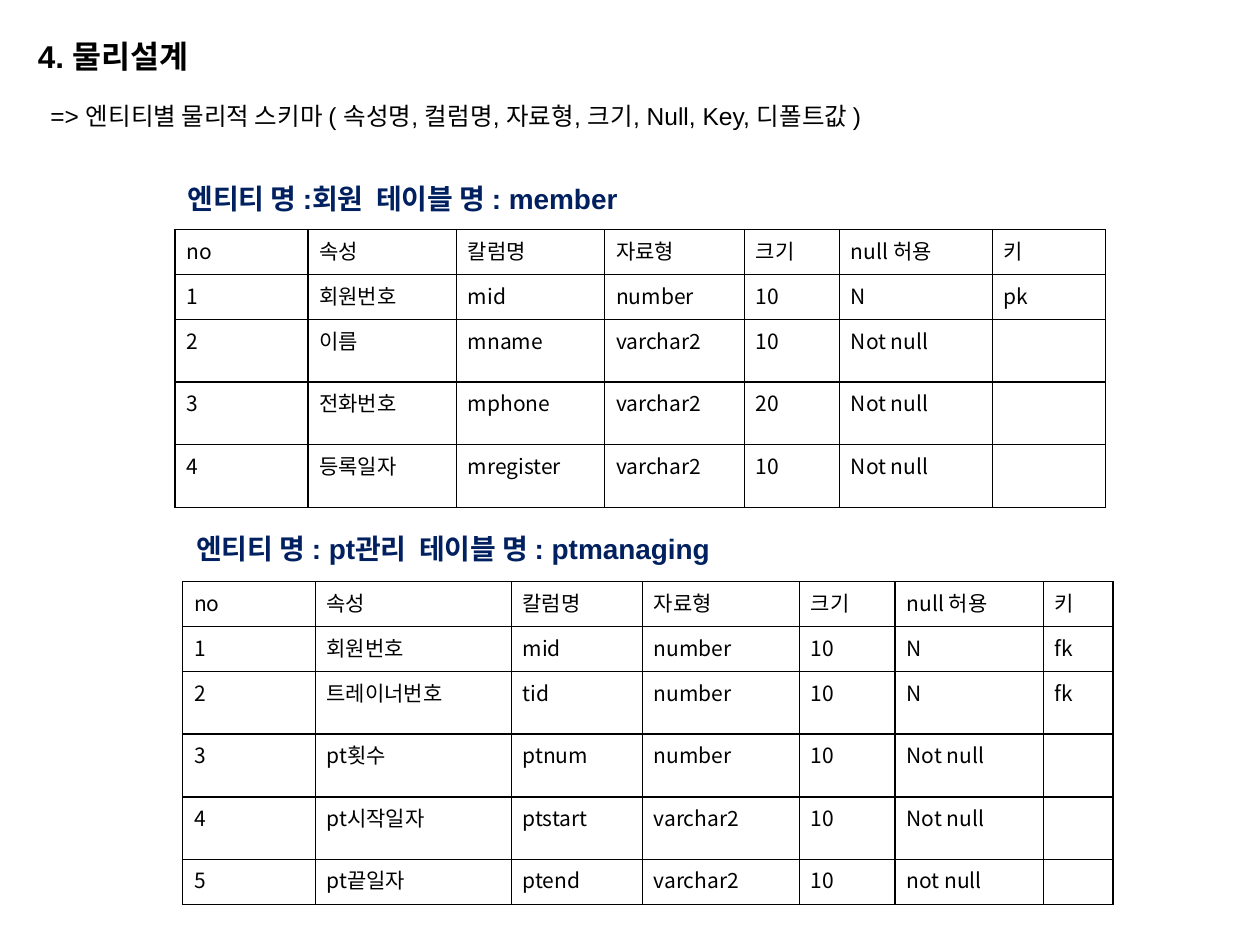
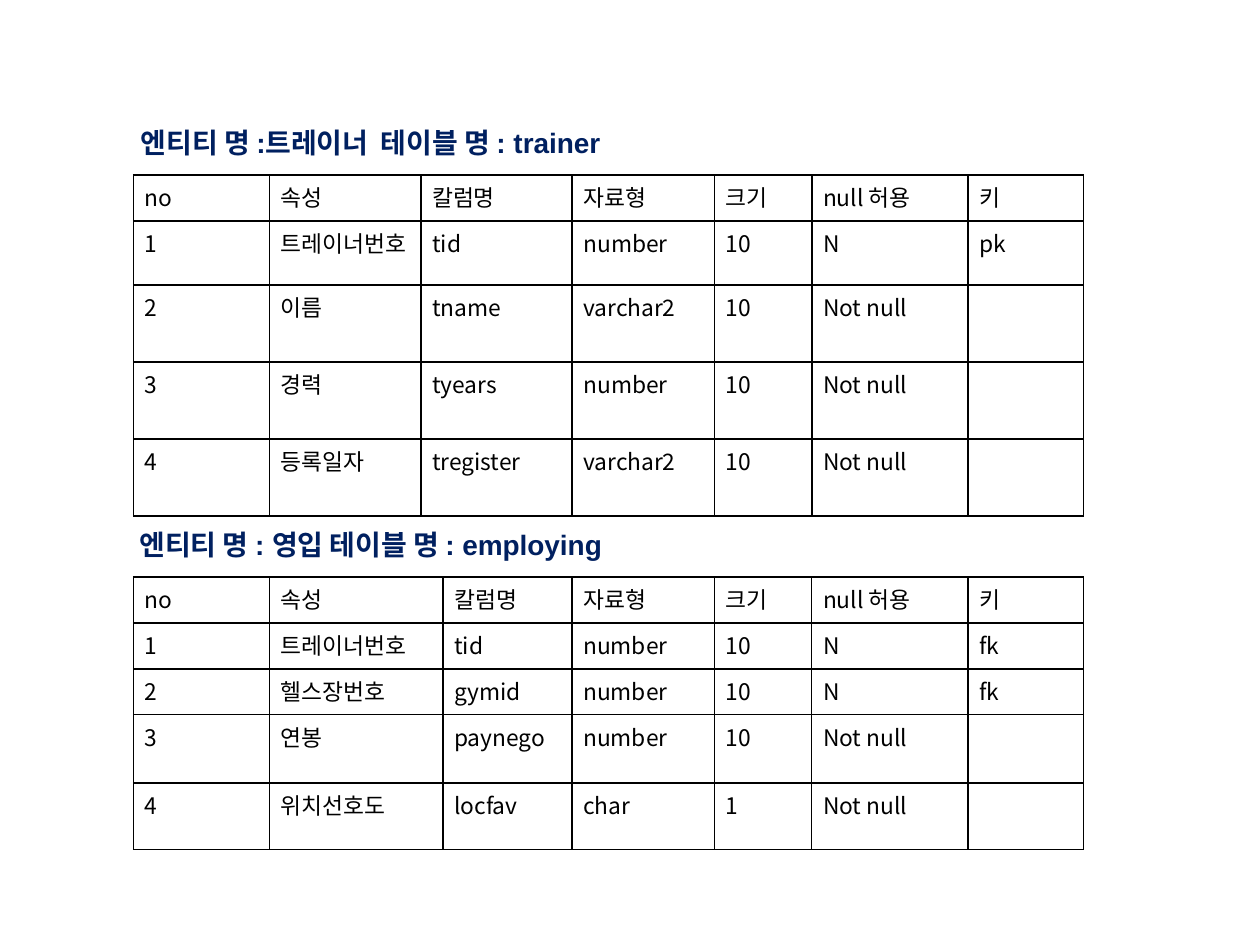
from dataclasses import dataclass

from lxml import etree
from pptx import Presentation
from pptx.dml.color import RGBColor
from pptx.enum.text import MSO_ANCHOR, MSO_AUTO_SIZE, PP_ALIGN
from pptx.oxml.ns import qn
from pptx.slide import Slide
from pptx.table import _Cell
from pptx.text.text import TextFrame, _Paragraph
from pptx.util import Pt

BLACK = RGBColor(0x00, 0x00, 0x00)
WHITE = RGBColor(0xFF, 0xFF, 0xFF)
NAVY = RGBColor(0x00, 0x20, 0x60)

HEADING_FONT = "Arial"
CELL_FONT = "Noto Sans CJK KR"
LEFT = PP_ALIGN.LEFT
TOP = MSO_ANCHOR.TOP
NO_AUTO_SIZE = MSO_AUTO_SIZE.NONE

TITLE_AND_CONTENT = 1
BLANK = 6
HEADING_HEIGHT = 26.6
HEADING_SIZE = 16
BORDER_WIDTH = 1

HEADER = ("no", "속성", "칼럼명", "자료형", "크기", "null 허용", "키")


@dataclass(frozen=True)
class Box:
    left: float
    top: float
    width: float
    height: float


@dataclass(frozen=True)
class Entity:
    """A heading and the table of the entity's columns; rows omit the number."""

    heading: str
    heading_left: float
    heading_top: float
    table_left: float
    table_top: float
    font_size: float
    column_widths: tuple[float, ...]
    row_heights: tuple[float, ...]
    rows: tuple[tuple[str, ...], ...]


TITLE_BOX = Box(7.2, 17.3, 705.6, 34)
SUMMARY_BOX = Box(7.2, 54, 705.6, 32)

MEMBER = Entity(
    "엔티티 명 :회원  테이블 명 : member", 100.1, 100.1, 100.1, 131.2, 12,
    (75.8, 85, 84.7, 79.8, 54.4, 87.4, 64.5),
    (25.7, 25.7, 35.8, 35.8, 35.8),
    (
        ("회원번호", "mid", "number", "10", "N", "pk"),
        ("이름", "mname", "varchar2", "10", "Not null", ""),
        ("전화번호", "mphone", "varchar2", "20", "Not null", ""),
        ("등록일자", "mregister", "varchar2", "10", "Not null", ""),
    ),
)
PT_MANAGING = Entity(
    "엔티티 명 : pt관리  테이블 명 : ptmanaging", 105.1, 300.2, 104.4, 332.4, 12,
    (75.8, 112, 74.9, 89.8, 54.7, 84.8, 39.6),
    (25.7, 25.7, 35.8, 35.8, 35.8, 25.7),
    (
        ("회원번호", "mid", "number", "10", "N", "fk"),
        ("트레이너번호", "tid", "number", "10", "N", "fk"),
        ("pt횟수", "ptnum", "number", "10", "Not null", ""),
        ("pt시작일자", "ptstart", "varchar2", "10", "Not null", ""),
        ("pt끝일자", "ptend", "varchar2", "10", "not null", ""),
    ),
)
TRAINER = Entity(
    "엔티티 명 :트레이너  테이블 명 : trainer", 73.4, 68.4, 76.3, 100.1, 13,
    (77.6, 86.6, 86.4, 81.4, 55.6, 89.3, 66),
    (26.2, 36.6, 44, 44, 44),
    (
        ("트레이너번호", "tid", "number", "10", "N", "pk"),
        ("이름", "tname", "varchar2", "10", "Not null", ""),
        ("경력", "tyears", "number", "10", "Not null", ""),
        ("등록일자", "tregister", "varchar2", "10", "Not null", ""),
    ),
)
EMPLOYING = Entity(
    "엔티티 명 : 영입 테이블 명 : employing", 72.7, 298.1, 76.3, 329.8, 13,
    (77.6, 99.2, 73.8, 81.4, 55.6, 89.3, 66),
    (26.2, 26.2, 26.2, 39, 38),
    (
        ("트레이너번호", "tid", "number", "10", "N", "fk"),
        ("헬스장번호", "gymid", "number", "10", "N", "fk"),
        ("연봉", "paynego", "number", "10", "Not null", ""),
        ("위치선호도", "locfav", "char", "1", "Not null", ""),
    ),
)


def format_runs(paragraph: _Paragraph, font_name: str, size: float,
                color: RGBColor, bold: bool = False) -> None:
    for run in paragraph.runs:
        run.font.name = font_name
        run.font.size = Pt(size)
        run.font.bold = bold
        run.font.color.rgb = color
        east_asian = etree.SubElement(run.font._element, qn("a:ea"))
        east_asian.set("typeface", CELL_FONT)


def fill_placeholder(slide: Slide, index: int, box: Box, text: str, size: float,
                     bold: bool, margin: float, indent: float) -> None:
    placeholder = slide.placeholders[index]
    placeholder.left, placeholder.top = Pt(box.left), Pt(box.top)
    placeholder.width, placeholder.height = Pt(box.width), Pt(box.height)
    text_frame: TextFrame = placeholder.text_frame
    text_frame.text = text
    text_frame.auto_size = NO_AUTO_SIZE
    text_frame.vertical_anchor = TOP
    paragraph = text_frame.paragraphs[0]
    paragraph.alignment = LEFT
    paragraph.space_before = Pt(0)
    properties = paragraph._p.get_or_add_pPr()
    properties.set("marL", str(Pt(margin)))
    properties.set("indent", str(Pt(indent)))
    etree.SubElement(properties, qn("a:buNone"))
    format_runs(paragraph, HEADING_FONT, size, BLACK, bold)


def add_borders(cell: _Cell) -> None:
    properties = cell._tc.get_or_add_tcPr()
    for side in ("lnL", "lnR", "lnT", "lnB"):
        line = etree.SubElement(properties, qn(f"a:{side}"), w=str(Pt(BORDER_WIDTH)))
        fill = etree.SubElement(line, qn("a:solidFill"))
        etree.SubElement(fill, qn("a:srgbClr"), val=str(BLACK))


def write_cell(cell: _Cell, text: str, size: float) -> None:
    cell.margin_left = cell.margin_right = Pt(6.5)
    cell.margin_top = cell.margin_bottom = Pt(3)
    add_borders(cell)
    cell.fill.solid()
    cell.fill.fore_color.rgb = WHITE
    cell.text_frame.text = text
    paragraph = cell.text_frame.paragraphs[0]
    format_runs(paragraph, CELL_FONT, size, BLACK)
    if not text:
        etree.SubElement(paragraph._p, qn("a:endParaRPr"), sz=str(int(size * 100)))


def add_heading(slide: Slide, entity: Entity, width: float) -> None:
    heading = slide.shapes.add_textbox(
        Pt(entity.heading_left), Pt(entity.heading_top), Pt(width), Pt(HEADING_HEIGHT))
    heading.text_frame.word_wrap = True
    heading.text_frame.text = entity.heading
    format_runs(heading.text_frame.paragraphs[0], HEADING_FONT, HEADING_SIZE, NAVY, True)


def add_entity(slide: Slide, entity: Entity) -> None:
    table_width = sum(entity.column_widths)
    add_heading(slide, entity, table_width)
    table = slide.shapes.add_table(
        len(entity.row_heights), len(HEADER), Pt(entity.table_left), Pt(entity.table_top),
        Pt(table_width), Pt(sum(entity.row_heights))).table
    table.first_row = False
    table.horz_banding = False
    for column, width in zip(table.columns, entity.column_widths):
        column.width = Pt(width)
    numbered_rows = [(str(number), *row) for number, row in enumerate(entity.rows, 1)]
    for row, height, texts in zip(table.rows, entity.row_heights, [HEADER, *numbered_rows]):
        row.height = Pt(height)
        for cell, text in zip(row.cells, texts):
            write_cell(cell, text, entity.font_size)


def main() -> None:
    presentation = Presentation()
    presentation.slide_width, presentation.slide_height = Pt(720), Pt(540)
    layouts = presentation.slide_layouts

    design_slide = presentation.slides.add_slide(layouts[TITLE_AND_CONTENT])
    fill_placeholder(design_slide, 0, TITLE_BOX, "4. 물리설계", 18, True, 14.4, -7.2)
    fill_placeholder(
        design_slide, 1, SUMMARY_BOX,
        "=> 엔티티별 물리적 스키마 ( 속성명, 컬럼명, 자료형, 크기, Null, Key, 디폴트값 )",
        14, False, 14.4, 0)
    trainer_slide = presentation.slides.add_slide(layouts[BLANK])

    for slide, entities in (
        (design_slide, (MEMBER, PT_MANAGING)),
        (trainer_slide, (TRAINER, EMPLOYING)),
    ):
        for entity in entities:
            add_entity(slide, entity)

    presentation.save("out.pptx")


if __name__ == "__main__":
    main()
